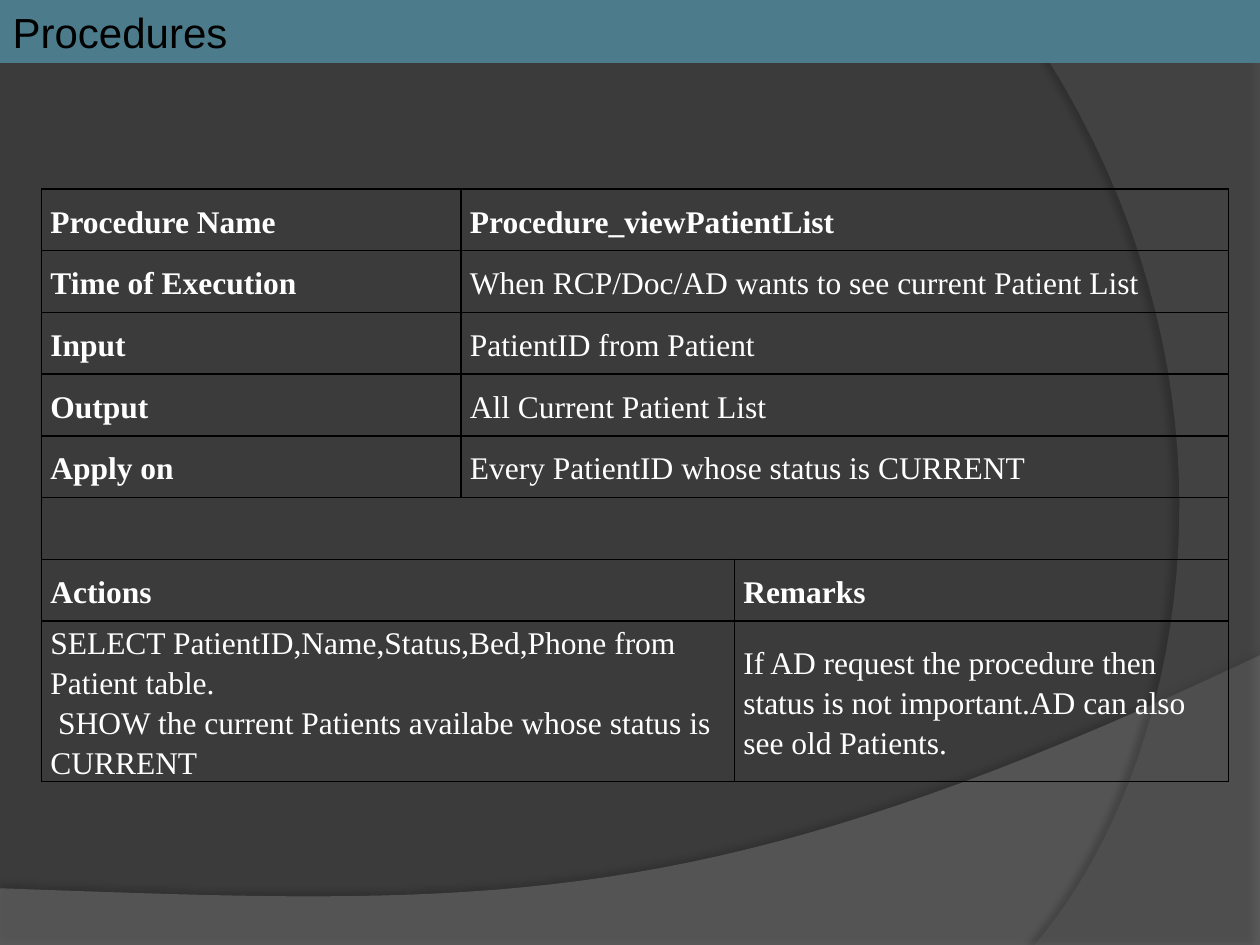
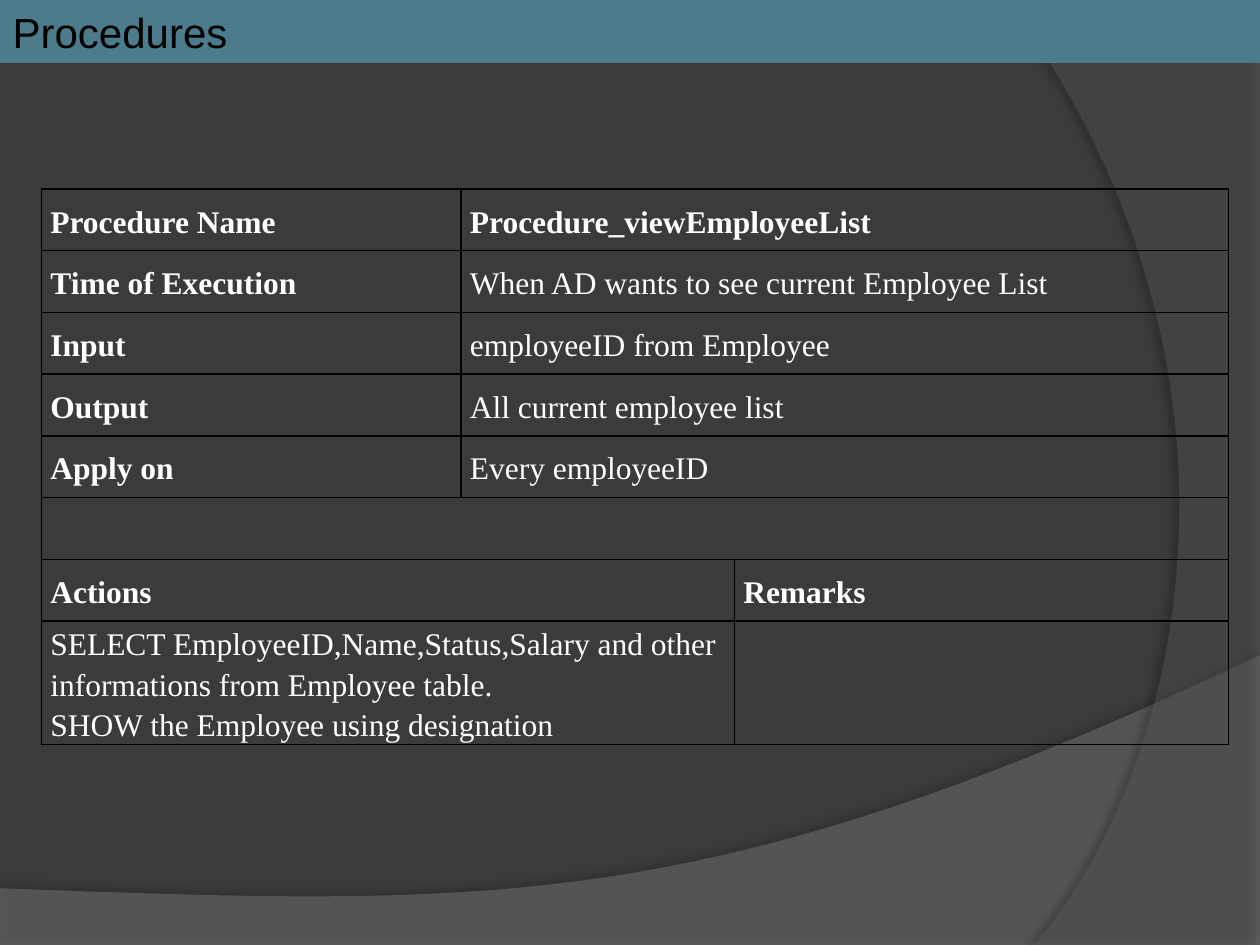
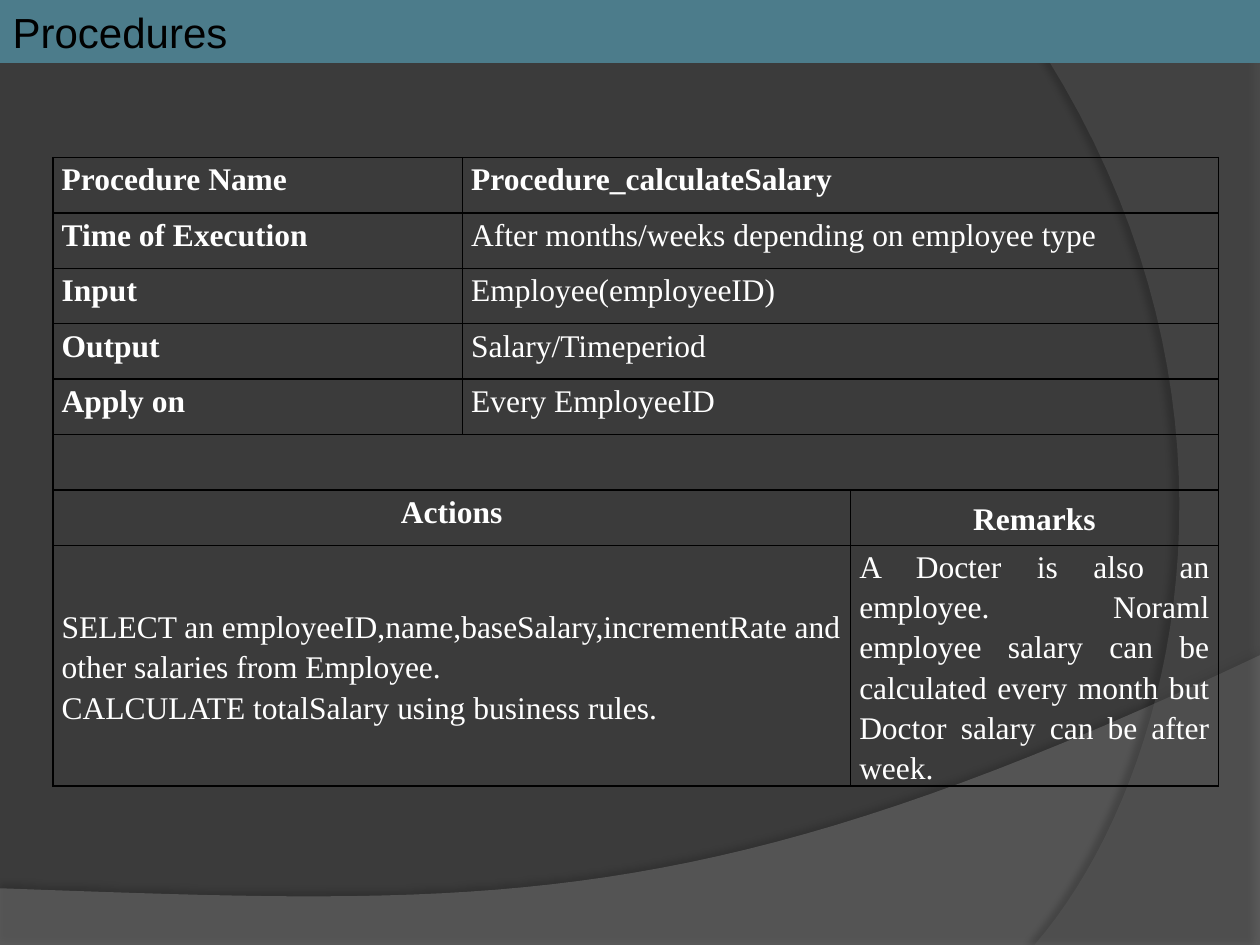
from lxml import etree
from pptx import Presentation
from pptx.dml.color import RGBColor
from pptx.enum.text import MSO_ANCHOR, MSO_AUTO_SIZE, PP_ALIGN
from pptx.oxml import parse_xml
from pptx.oxml.ns import nsdecls, qn
from pptx.util import Inches, Pt

LEFT, CENTER, JUSTIFY = PP_ALIGN.LEFT, PP_ALIGN.CENTER, PP_ALIGN.JUSTIFY
TOP, MIDDLE = MSO_ANCHOR.TOP, MSO_ANCHOR.MIDDLE

BACKGROUND = RGBColor(0x3B, 0x3B, 0x3B)
SWEEP = RGBColor(0x7F, 0x7F, 0x7F)
ARC = RGBColor(0x5E, 0x5E, 0x5E)
BAND = RGBColor(0x4C, 0x7C, 0x8B)
BLACK = RGBColor(0, 0, 0)
WHITE = RGBColor(0xFF, 0xFF, 0xFF)

TITLE_BOX = {"left": Inches(0), "top": Inches(0), "width": Inches(10), "height": Inches(0.5)}
TITLE_FRAME = {"auto_size": MSO_AUTO_SIZE.NONE, "vertical_anchor": MIDDLE, "word_wrap": True}
TITLE_FONT = {"name": "Arial", "size": Pt(24)}
CELL_FONT = {"name": "Times New Roman", "size": Pt(18)}
CELL_MARGINS = {"margin_left": Inches(0.07), "margin_right": Inches(0.07),
                "margin_top": 0, "margin_bottom": 0}
LABELS = ["Procedure Name", "Time of Execution", "Input", "Output", "Apply on"]
BLANK_ROW, HEADING_ROW, DETAIL_ROW = 5, 6, 7

VIEW_STYLE = {
    "left": 0.33, "top": 1.5, "cols": [3.33, 2.17, 3.92], "row": 0.49, "last_row": 0.98,
    "facts": (LEFT, MIDDLE), "actions_heading": (LEFT, MIDDLE),
    "remarks_heading": (LEFT, MIDDLE), "remarks": (LEFT, MIDDLE),
}
SALARY_STYLE = {
    "left": 0.42, "top": 1.25, "cols": [3.25, 3.08, 2.92], "row": 0.44, "last_row": 1.77,
    "facts": (JUSTIFY, TOP), "actions_heading": (CENTER, TOP),
    "remarks_heading": (CENTER, MIDDLE), "remarks": (JUSTIFY, MIDDLE),
}
PROCEDURES = [
    (VIEW_STYLE,
     ["Procedure_viewPatientList",
      "When RCP/Doc/AD wants to see current Patient List",
      "PatientID from Patient",
      "All Current Patient List",
      "Every PatientID whose status is CURRENT"],
     ["SELECT PatientID,Name,Status,Bed,Phone from Patient table.",
      " SHOW the current Patients availabe whose status is CURRENT"],
     ["If AD request the procedure then status is not important."
      "AD can also see old Patients."]),
    (VIEW_STYLE,
     ["Procedure_viewEmployeeList",
      "When AD wants to see current Employee List",
      "employeeID from Employee",
      "All current employee list",
      "Every employeeID"],
     ["SELECT EmployeeID,Name,Status,Salary and other informations from Employee table.",
      "SHOW the Employee using designation"],
     []),
    (SALARY_STYLE,
     ["Procedure_calculateSalary",
      "After months/weeks depending on employee type",
      "Employee(employeeID)",
      "Salary/Timeperiod",
      "Every EmployeeID"],
     ["SELECT an employeeID,name,baseSalary,incrementRate and other salaries from Employee.",
      "CALCULATE totalSalary using business rules."],
     ["A Docter is also an employee. Noraml employee salary can be calculated "
      "every month but Doctor salary can be after week."]),
]


def apply(target, values):
    """Set attributes of an object from a dict."""
    for name, value in values.items():
        setattr(target, name, value)


def curve(start, control1, control2, end, steps=40):
    """Return points along a cubic curve, without its start."""
    points = []
    for i in range(1, steps + 1):
        t = i / steps
        u = 1 - t
        weights = (u ** 3, 3 * u * u * t, 3 * u * t * t, t ** 3)
        anchors = (start, control1, control2, end)
        points.append(tuple(sum(w * a[axis] for w, a in zip(weights, anchors))
                            for axis in (0, 1)))
    return points


def add_backdrop(prs, slide, points, color, opacity, shadow):
    """Draw a translucent shadowed outline and place it on the master."""
    points = [(Inches(x), Inches(y)) for x, y in points]
    builder = slide.shapes.build_freeform(*points[0])
    builder.add_line_segments(points[1:], close=True)
    sp = builder.convert_to_shape()
    sp.fill.solid()
    sp.fill.fore_color.rgb = color
    sp.line.fill.background()
    clr = sp.element.spPr.find(qn("a:solidFill"))[0]
    etree.SubElement(clr, qn("a:alpha")).set("val", str(opacity * 1000))
    alpha, blur, distance, angle = shadow
    sp.element.spPr.append(parse_xml(
        f'<a:effectLst {nsdecls("a")}><a:outerShdw blurRad="{Pt(blur)}" '
        f'dist="{Pt(distance)}" dir="{angle * 60000}" algn="ctr" rotWithShape="0">'
        f'<a:srgbClr val="{BLACK}"><a:alpha val="{alpha * 1000}"/></a:srgbClr>'
        '</a:outerShdw></a:effectLst>'))
    prs.slide_master.shapes.element.append(sp.element)


def style_master(prs, slide):
    """Give the master its background and two curved areas."""
    fill = prs.slide_master.background.fill
    fill.solid()
    fill.fore_color.rgb = BACKGROUND
    sweep = [(0, 7.05), (0, 7.51), (10, 7.51), (10, 5.2)]
    sweep += curve((10, 5.2), (5.59, 7.29), (3.91, 7.19), (0, 7.05))
    add_backdrop(prs, slide, sweep, SWEEP, 45, (35, 4, 3.5, 270))
    arc = [(10, 0.02), (10, 7.5), (8.21, 7.5)]
    arc += curve((8.21, 7.5), (9.35, 6.19), (10.18, 3), (8, 0))
    add_backdrop(prs, slide, arc, ARC, 40, (45, 4, 4, 180))


def add_title(slide, text):
    """Fill the title placeholder as a band across the top."""
    sp = slide.shapes.title
    apply(sp, TITLE_BOX)
    sp.fill.solid()
    sp.fill.fore_color.rgb = BAND
    tf = sp.text_frame
    apply(tf, TITLE_FRAME)
    p = tf.paragraphs[0]
    p.alignment = LEFT
    r = p.add_run()
    r.text = text
    apply(r.font, TITLE_FONT)
    r.font.color.rgb = BLACK


def style_cell(cell):
    """Clear a cell's fill and draw its four borders."""
    cell.fill.background()
    apply(cell, CELL_MARGINS)
    tcPr = cell._tc.get_or_add_tcPr()
    for i, side in enumerate(("lnL", "lnR", "lnT", "lnB")):
        tcPr.insert(i, parse_xml(
            f'<a:{side} {nsdecls("a")} w="{Pt(1)}"><a:solidFill>'
            f'<a:srgbClr val="{BLACK}"/></a:solidFill></a:{side}>'))


def write_cell(cell, lines, placing, bold=False):
    """Write paragraphs into a cell."""
    alignment, cell.vertical_anchor = placing
    tf = cell.text_frame
    for i, line in enumerate(lines):
        p = tf.add_paragraph() if i else tf.paragraphs[0]
        apply(p, {"alignment": alignment, "line_spacing": 1.15})
        r = p.add_run()
        r.text = line
        apply(r.font, CELL_FONT)
        r.font.bold = bold
        r.font.color.rgb = WHITE


def add_procedure_table(slide, style, facts, actions, remarks):
    """Add the table that describes one procedure."""
    heights = [style["row"]] * DETAIL_ROW + [style["last_row"]]
    frame = slide.shapes.add_table(
        len(heights), len(style["cols"]), Inches(style["left"]), Inches(style["top"]),
        Inches(sum(style["cols"])), Inches(sum(heights)))
    table = frame.table
    apply(table, {"first_row": False, "horz_banding": False})
    for column, width in zip(table.columns, style["cols"]):
        column.width = Inches(width)
    for row, height in zip(table.rows, heights):
        row.height = Inches(height)
    for cell in table.iter_cells():
        style_cell(cell)
    for i, (label, fact) in enumerate(zip(LABELS, facts)):
        table.cell(i, 1).merge(table.cell(i, 2))
        write_cell(table.cell(i, 0), [label], style["facts"], bold=True)
        write_cell(table.cell(i, 1), [fact], style["facts"], bold=i == 0)
    table.cell(BLANK_ROW, 0).merge(table.cell(BLANK_ROW, 2))
    for i in (HEADING_ROW, DETAIL_ROW):
        table.cell(i, 0).merge(table.cell(i, 1))
    write_cell(table.cell(HEADING_ROW, 0), ["Actions"], style["actions_heading"], bold=True)
    write_cell(table.cell(HEADING_ROW, 2), ["Remarks"], style["remarks_heading"], bold=True)
    write_cell(table.cell(DETAIL_ROW, 0), actions, (LEFT, MIDDLE))
    write_cell(table.cell(DETAIL_ROW, 2), remarks, style["remarks"])


def main():
    """Build the procedure slides."""
    prs = Presentation()
    prs.slide_width, prs.slide_height = Inches(10), Inches(7.5)
    title_only = prs.slide_layouts[5]
    for i, procedure in enumerate(PROCEDURES):
        slide = prs.slides.add_slide(title_only)
        if i == 0:
            style_master(prs, slide)
        add_title(slide, "Procedures")
        add_procedure_table(slide, *procedure)
    prs.save("out.pptx")


if __name__ == "__main__":
    main()
